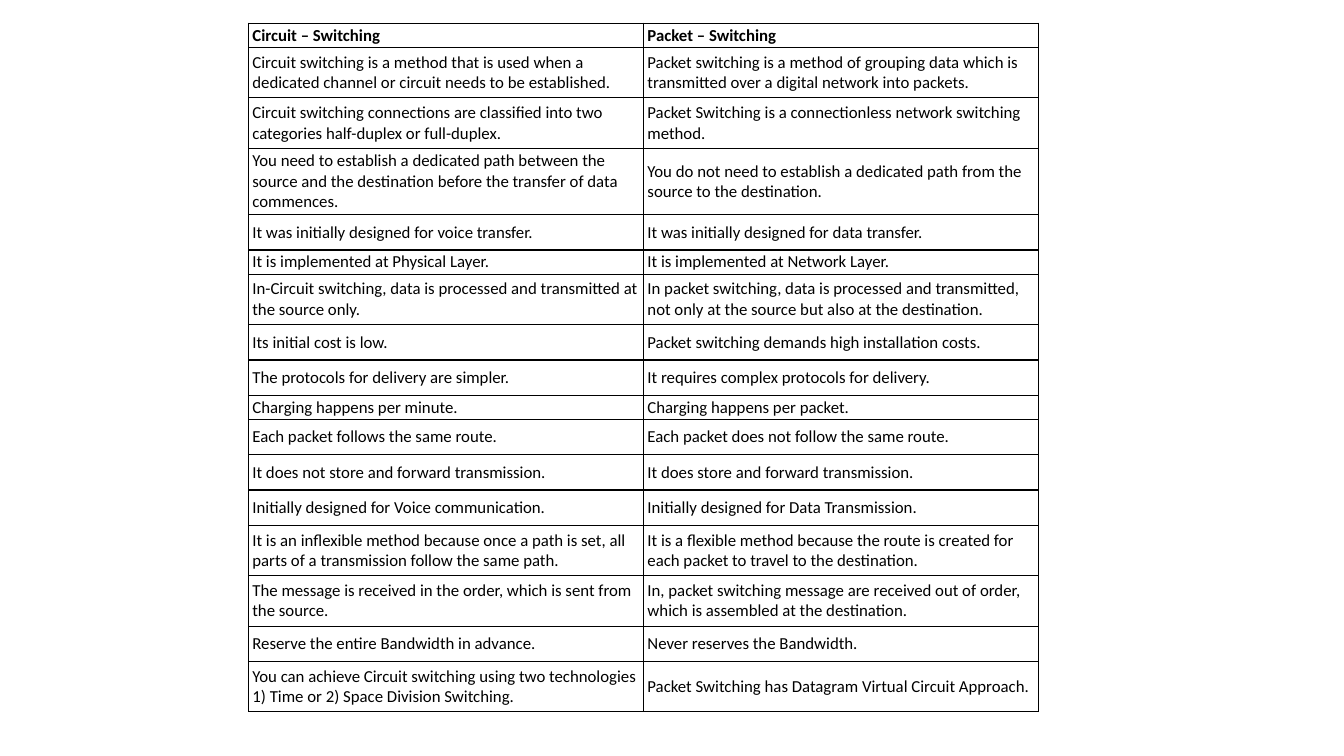
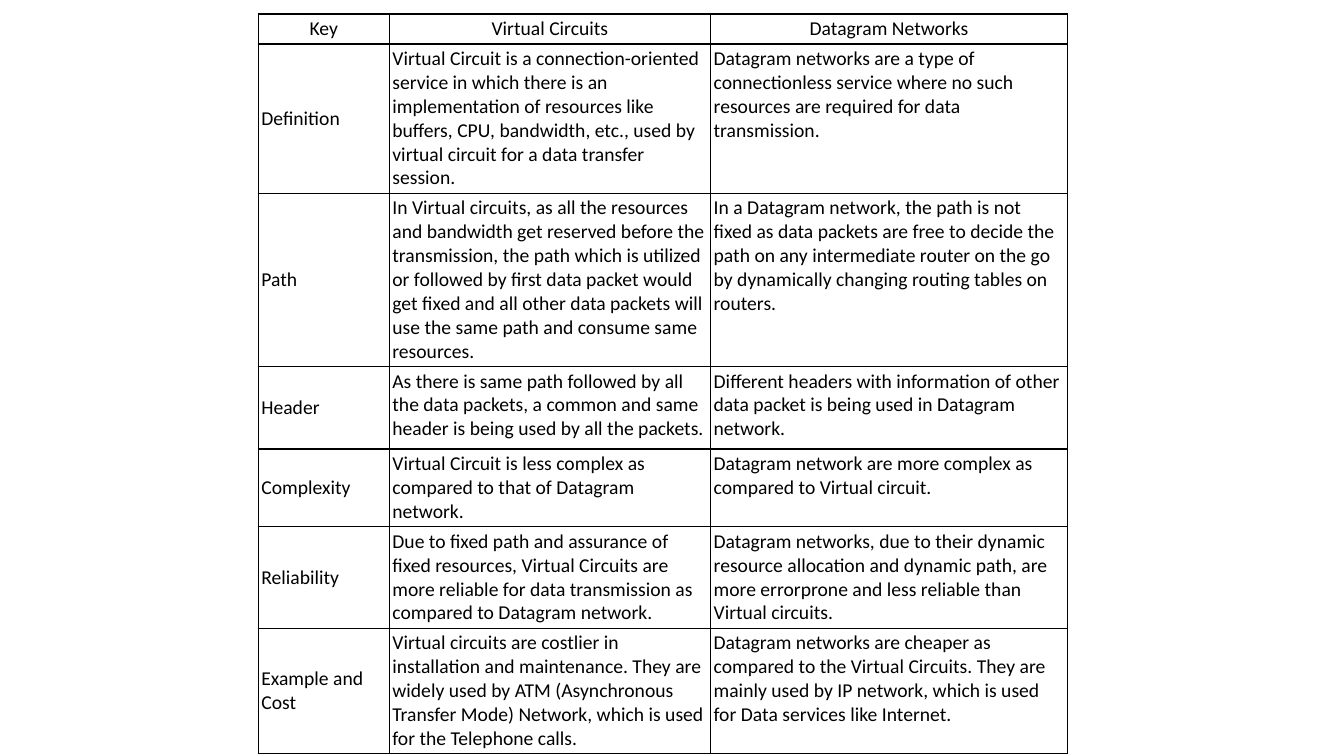
from lxml import etree
from pptx import Presentation
from pptx.dml.color import RGBColor
from pptx.enum.text import MSO_ANCHOR, PP_ALIGN
from pptx.oxml.ns import qn
from pptx.util import Pt

MIDDLE = MSO_ANCHOR.MIDDLE
CENTER, JUSTIFY = PP_ALIGN.CENTER, PP_ALIGN.JUSTIFY
FONT = "Calibri"
INK = "000000"
BORDER_WIDTH = Pt(1)


def color(hex_value):
    return RGBColor.from_string(hex_value)


def add_grid(rows, left, top, widths, heights, size, side_margin, end_margin):
    """Add a slide holding one plain table with black cell borders."""
    page = deck.slides.add_slide(deck.slide_layouts[6])
    table = page.shapes.add_table(
        len(rows), len(widths), Pt(left), Pt(top),
        Pt(sum(widths)), Pt(sum(heights))).table
    table.first_row = table.horz_banding = False
    for column, width in zip(table.columns, widths):
        column.width = Pt(width)
    for row, height, texts in zip(table.rows, heights, rows):
        row.height = Pt(height)
        for cell, text in zip(row.cells, texts):
            cell.margin_left = cell.margin_right = Pt(side_margin)
            cell.margin_top = cell.margin_bottom = Pt(end_margin)
            cell.text_frame.text = text
            font = cell.text_frame.paragraphs[0].runs[0].font
            font.name, font.size = FONT, Pt(size)
            font.color.rgb = color(INK)
            # Borders come before the fill in the cell properties
            properties = cell._tc.get_or_add_tcPr()
            for side in ("a:lnL", "a:lnR", "a:lnT", "a:lnB"):
                line = etree.SubElement(properties, qn(side), w=str(BORDER_WIDTH))
                fill = etree.SubElement(line, qn("a:solidFill"))
                etree.SubElement(fill, qn("a:srgbClr"), val=INK)
            cell.fill.background()
    return table


deck = Presentation()
deck.slide_width, deck.slide_height = Pt(960), Pt(540)

# Slide 1: circuit switching against packet switching
SHORT, SINGLE, DOUBLE, TRIPLE = 14.4, 25.2, 36, 47.5
switching = [
    (SHORT, "Circuit – Switching", "Packet – Switching"),
    (DOUBLE,
     "Circuit switching is a method that is used when a dedicated channel or circuit needs to be established.",
     "Packet switching is a method of grouping data which is transmitted over a digital network into packets."),
    (DOUBLE,
     "Circuit switching connections are classified into two categories half-duplex or full-duplex.",
     "Packet Switching is a connectionless network switching method."),
    (TRIPLE,
     "You need to establish a dedicated path between the source and the destination before the transfer of data commences.",
     "You do not need to establish a dedicated path from the source to the destination."),
    (SINGLE, "It was initially designed for voice transfer.",
     "It was initially designed for data transfer."),
    (SHORT, "It is implemented at Physical Layer.",
     "It is implemented at Network Layer."),
    (DOUBLE,
     "In-Circuit switching, data is processed and transmitted at the source only.",
     "In packet switching, data is processed and transmitted, not only at the source but also at the destination."),
    (SINGLE, "Its initial cost is low.",
     "Packet switching demands high installation costs."),
    (SINGLE, "The protocols for delivery are simpler.",
     "It requires complex protocols for delivery."),
    (SHORT, "Charging happens per minute.", "Charging happens per packet."),
    (SINGLE, "Each packet follows the same route.",
     "Each packet does not follow the same route."),
    (SINGLE, "It does not store and forward transmission.",
     "It does store and forward transmission."),
    (SINGLE, "Initially designed for Voice communication.",
     "Initially designed for Data Transmission."),
    (DOUBLE,
     "It is an inflexible method because once a path is set, all parts of a transmission follow the same path.",
     "It is a flexible method because the route is created for each packet to travel to the destination."),
    (DOUBLE,
     "The message is received in the order, which is sent from the source.",
     "In, packet switching message are received out of order, which is assembled at the destination."),
    (SINGLE, "Reserve the entire Bandwidth in advance.",
     "Never reserves the Bandwidth."),
    (DOUBLE,
     "You can achieve Circuit switching using two technologies 1) Time or 2) Space Division Switching.",
     "Packet Switching has Datagram Virtual Circuit Approach."),
]
switching_table = add_grid(
    [texts for _, *texts in switching], 177.6, 16.6, [282.2, 282.2],
    [height for height, *_ in switching], 12, 2.7, 1.35)
for cell in switching_table.iter_cells():
    cell.vertical_anchor = MIDDLE
for cell in switching_table.rows[0].cells:
    cell.text_frame.paragraphs[0].runs[0].font.bold = True

# Slide 2: virtual circuits against datagram networks
networks = [
    ("Key", "Virtual Circuits", "Datagram Networks"),
    ("Definition",
     "Virtual Circuit is a connection-oriented service in which there is an implementation of resources like buffers, CPU, bandwidth, etc., used by virtual circuit for a data transfer session.",
     "Datagram networks are a type of connectionless service where no such resources are required for data transmission."),
    ("Path",
     "In Virtual circuits, as all the resources and bandwidth get reserved before the transmission, the path which is utilized or followed by first data packet would get fixed and all other data packets will use the same path and consume same resources.",
     "In a Datagram network, the path is not fixed as data packets are free to decide the path on any intermediate router on the go by dynamically changing routing tables on routers."),
    ("Header",
     "As there is same path followed by all the data packets, a common and same header is being used by all the packets.",
     "Different headers with information of other data packet is being used in Datagram network."),
    ("Complexity",
     "Virtual Circuit is less complex as compared to that of Datagram network.",
     "Datagram network are more complex as compared to Virtual circuit."),
    ("Reliability",
     "Due to fixed path and assurance of fixed resources, Virtual Circuits are more reliable for data transmission as compared to Datagram network.",
     "Datagram networks, due to their dynamic resource allocation and dynamic path, are more errorprone and less reliable than Virtual circuits."),
    ("Example and Cost",
     "Virtual circuits are costlier in installation and maintenance. They are widely used by ATM (Asynchronous Transfer Mode) Network, which is used for the Telephone calls.",
     "Datagram networks are cheaper as compared to the Virtual Circuits. They are mainly used by IP network, which is used for Data services like Internet."),
]
networks_table = add_grid(
    networks, 184.5, 10, [93.6, 229.5, 254.9],
    [16.6, 79.9, 101.5, 59, 37.4, 69.8, 79.9], 14, 2.2, 2.2)
for row in networks_table.rows:
    row.cells[0].vertical_anchor = MIDDLE
for cell in networks_table.rows[0].cells:
    cell.vertical_anchor = MIDDLE
    cell.text_frame.paragraphs[0].alignment = CENTER
networks_table.cell(1, 0).text_frame.paragraphs[0].alignment = JUSTIFY

deck.save("out.pptx")
